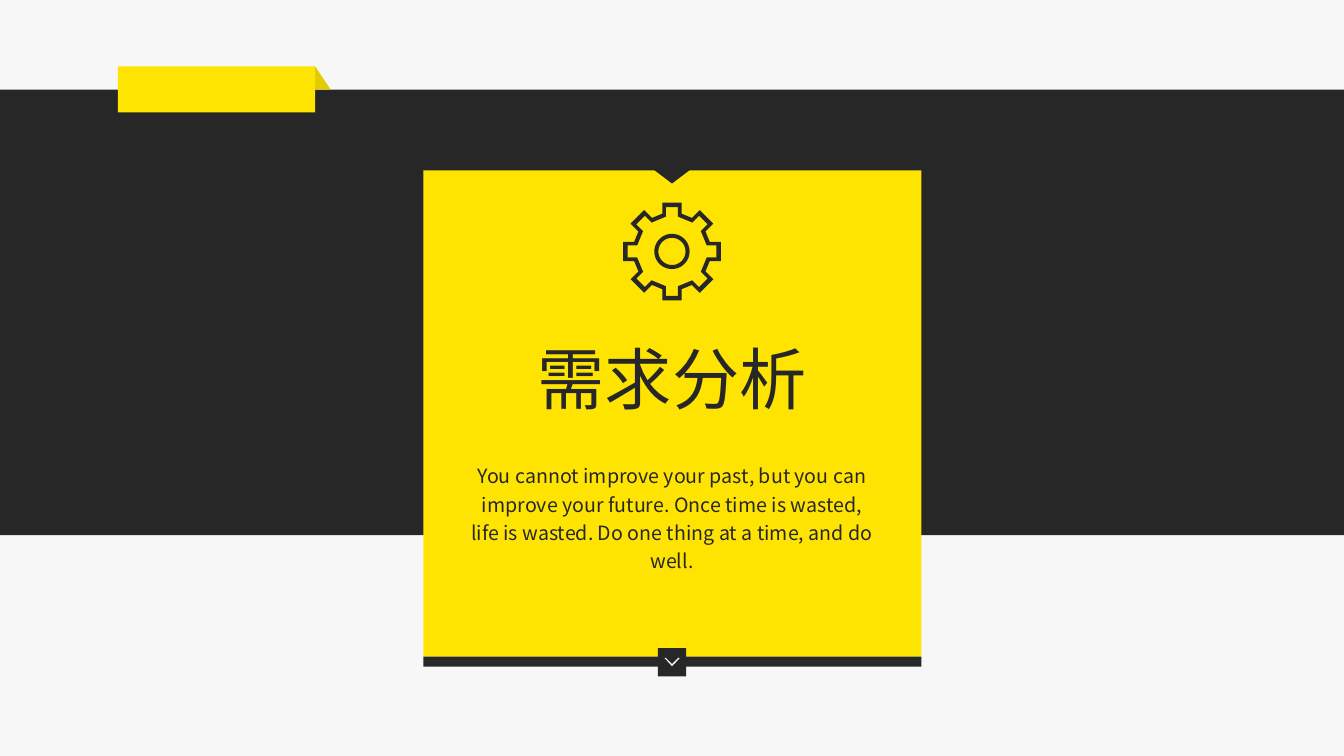
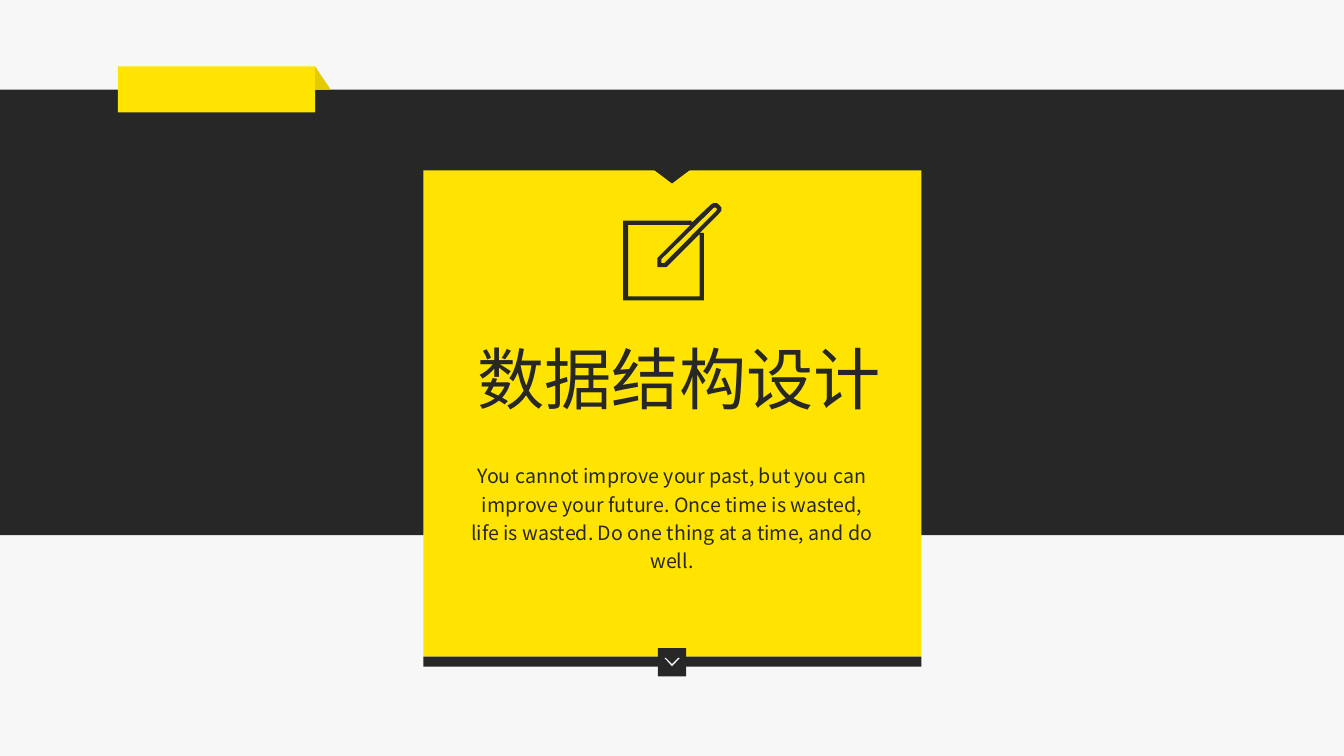
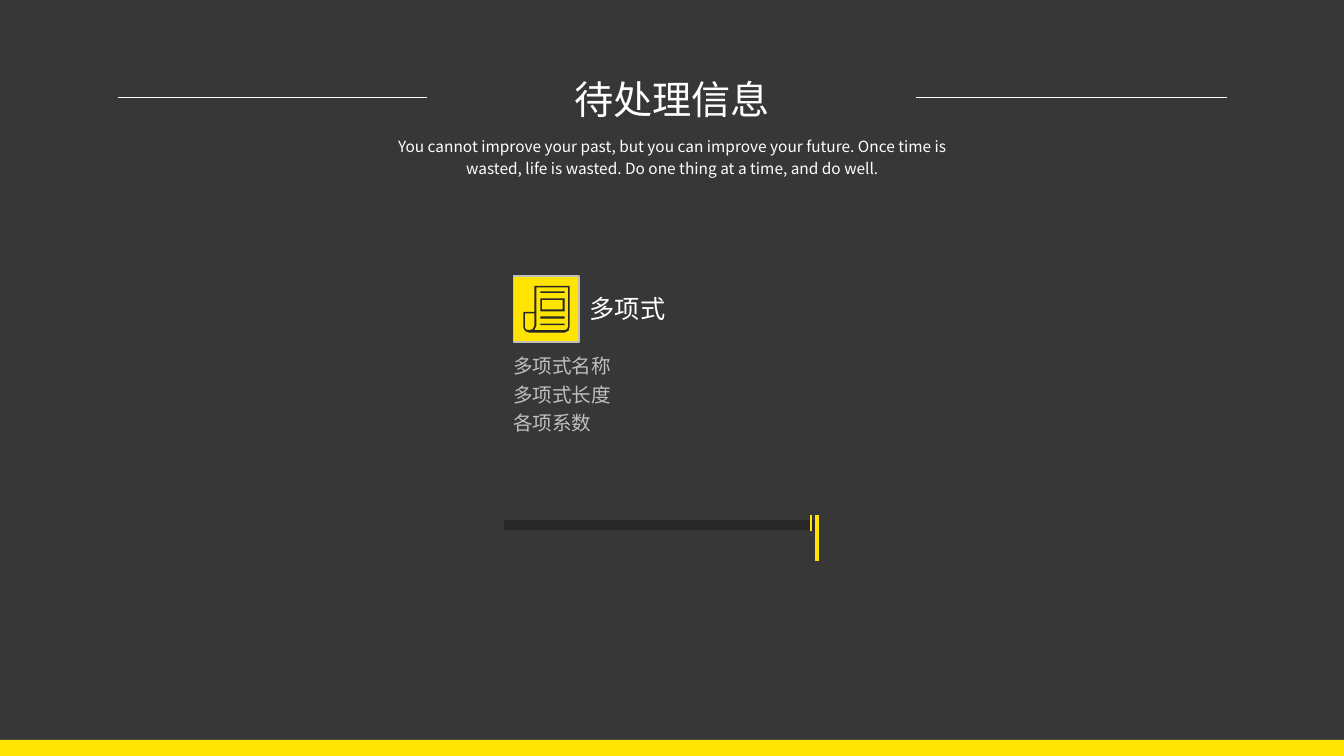
from math import cos, pi, sin

from lxml import etree
from pptx import Presentation
from pptx.dml.color import RGBColor
from pptx.enum.shapes import MSO_CONNECTOR, MSO_SHAPE
from pptx.enum.text import MSO_AUTO_SIZE, PP_ALIGN
from pptx.oxml.ns import qn
from pptx.util import Inches, Pt

RECTANGLE, TRIANGLE = MSO_SHAPE.RECTANGLE, MSO_SHAPE.ISOSCELES_TRIANGLE
STRAIGHT = MSO_CONNECTOR.STRAIGHT
LEFT, CENTER = PP_ALIGN.LEFT, PP_ALIGN.CENTER
GROW = MSO_AUTO_SIZE.SHAPE_TO_FIT_TEXT
FONT = "Noto Sans CJK SC"
COLORS = {name: RGBColor.from_string(code) for name, code in {
    "paper": "F7F7F7", "ink": "272727", "board": "373737", "yellow": "FFE401",
    "fold": "E2CC00", "white": "FFFFFF", "grey": "BFBFBF"}.items()}
MOTTO = ("You cannot improve your past, but you can improve your future. "
         "Once time is wasted, life is wasted. Do one thing at a time, and do well.")

presentation = Presentation()
presentation.slide_width = Inches(13.33)
presentation.slide_height = Inches(7.5)
blank_layout = presentation.slide_layouts[6]

# Square grid: 75 rows down the slide, 133.3 columns across
COLUMNS, ROWS = 133.3, 75
CELL = presentation.slide_height / ROWS
MIDDLE = COLUMNS / 2


def add_shape(slide, color, left, top, width, height, kind=RECTANGLE):
    shape = slide.shapes.add_shape(
        kind, *[round(length * CELL) for length in (left, top, width, height)])
    shape.shadow.inherit = False
    shape.fill.solid()
    shape.fill.fore_color.rgb = COLORS[color]
    shape.line.fill.background()
    return shape


def add_text(slide, lines, bounds, size, color, align=CENTER, spacing=1.0, wrap=True):
    box = slide.shapes.add_textbox(*[round(length * CELL) for length in bounds])
    frame = box.text_frame
    frame.word_wrap = wrap
    frame.auto_size = GROW
    frame.text = "\n".join(lines)
    for paragraph in frame.paragraphs:
        paragraph.alignment = align
        paragraph.line_spacing = spacing
        paragraph.font.size = Pt(size)
        paragraph.font.color.rgb = COLORS[color]
        paragraph.font.name = FONT
        etree.SubElement(paragraph.font._element, qn("a:ea"), typeface=FONT)


# Gear icon: eight teeth turned around a centre, then two rings
GEAR_Y = 24.95
gear = []
for half_tooth, base, tip in ((0.95, 3.75, 4.85), (0.6, 3.45, 4.4)):
    tooth = [(-half_tooth, -base), (-half_tooth, -tip), (half_tooth, -tip), (half_tooth, -base)]
    gear.append([
        (MIDDLE + x * cos(turn) - y * sin(turn), GEAR_Y + x * sin(turn) + y * cos(turn))
        for turn in [step * pi / 4 for step in range(8)] for x, y in tooth])
for radius in (1.75, 1.35):
    gear.append([(MIDDLE + radius * cos(turn), GEAR_Y + radius * sin(turn))
                 for turn in [step * pi / 18 for step in range(36)]])

# Notepad icon: sheet with pencil, sheet hole, pencil hole
notepad = [
    [(71.3, 20.3), (71.55, 20.6), (71.55, 20.9), (71.3, 21.2), (69.4, 23.1), (69.8, 23.1),
     (69.8, 29.8), (61.8, 29.8), (61.8, 21.9), (68.6, 21.9), (68.6, 22.1), (70.5, 20.3),
     (70.75, 20.15), (71.1, 20.15)],
    [(69.4, 29.4), (69.4, 23.2), (66.1, 26.5), (65.2, 26.5), (65.2, 25.6), (68.5, 22.3),
     (62.3, 22.3), (62.3, 29.4)],
    [(71, 20.95), (71.15, 20.75), (71, 20.6), (70.8, 20.6), (65.6, 25.7), (65.6, 26.1),
     (65.9, 26.1)],
]

# Newspaper icon: outline, roll, page, then text lines and picture frame
newspaper = [
    [(53, 28.35), (56.5, 28.35), (56.5, 32.4), (56.4, 32.8), (56, 33), (52.5, 33),
     (52.1, 32.85), (51.9, 32.5), (51.9, 30.95), (53, 30.95)],
    [(52.5, 32.75), (52.85, 32.65), (53, 32.3), (53, 31.1), (52.05, 31.1), (52.05, 32.5),
     (52.2, 32.7)],
    [(56.35, 32.4), (56.35, 28.5), (53.2, 28.5), (53.2, 32.3), (53, 32.75), (56, 32.75),
     (56.25, 32.65)],
]
for left, top, right, bottom in ((53.6, 28.9, 56, 29.05), (53.6, 31.4, 56, 31.6),
                                 (53.6, 32.1, 56, 32.25), (53.6, 29.6, 56, 30.9),
                                 (53.75, 29.75, 55.8, 30.7)):
    newspaper.append([(left, top), (right, top), (right, bottom), (left, bottom)])

chevron = [[(66.3, 65.7), (65.9, 65.3), (66, 65.25), (66.65, 65.9), (67.3, 65.25),
            (67.4, 65.3), (66.65, 66.1)]]
icons = []

# Section slides
CARD_LEFT, CARD_TOP, CARD_WIDTH, CARD_HEIGHT = 42, 16.9, 49.4, 48.25
for title, title_width, icon in (("需求分析", 42.5, gear), ("数据结构设计", 43.9, notepad)):
    slide = presentation.slides.add_slide(blank_layout)
    slide.background.fill.solid()
    slide.background.fill.fore_color.rgb = COLORS["paper"]

    # Band and folded ribbon
    add_shape(slide, "ink", 0, 8.9, COLUMNS, 44.2)
    add_shape(slide, "yellow", 11.7, 6.6, 19.55, 4.55)
    fold = add_shape(slide, "fold", 31.25, 6.6, 1.55, 2.3, TRIANGLE)
    fold.adjustments[0] = 0.01

    # Card with notch, foot and arrow button
    add_shape(slide, "yellow", CARD_LEFT, CARD_TOP, CARD_WIDTH, CARD_HEIGHT)
    notch = add_shape(slide, "ink", MIDDLE - 2.65, 16.2, 5.3, 2, TRIANGLE)
    notch.rotation = 180
    add_shape(slide, "ink", CARD_LEFT, CARD_TOP + CARD_HEIGHT, CARD_WIDTH, 1)
    add_shape(slide, "ink", MIDDLE - 1.4, 64.3, 2.8, 2.8)
    add_text(slide, [title], (45.4, 33, title_width, 9.1), 48, "ink")
    add_text(slide, [MOTTO], (45.4, 45.1, 42.5, 12.3), 14, "ink", spacing=1.2)
    icons += [(slide, "ink", icon), (slide, "white", chevron)]

# Information slide
slide = presentation.slides.add_slide(blank_layout)
slide.background.fill.solid()
slide.background.fill.fore_color.rgb = COLORS["board"]
add_text(slide, ["待处理信息"], (55.8, 7, 21.7, 5.7), 28, "white", wrap=False)
add_text(slide, [MOTTO], (37.1, 12.7, 59.2, 5.3), 11, "white", spacing=1.2)

# Polynomial entry
tile = add_shape(slide, "yellow", 50.95, 27.4, 6.5, 6.55)
tile.line.color.rgb = COLORS["grey"]
tile.line.width = Pt(1)
icons.append((slide, "ink", newspaper))
add_text(slide, ["多项式"], (57.5, 28.6, 9.6, 4), 18, "white", LEFT, wrap=False)
add_text(slide, ["多项式名称", "多项式长度", "各项系数"], (49.9, 34.2, 31.8, 9.3),
         14, "grey", LEFT, 1.2)

# Footer band and divider
add_shape(slide, "yellow", 0, 73.4, COLUMNS, 1.6)
add_shape(slide, "ink", 50, 51.6, 30.9, 1)

# Title rules and divider end marks
for color, weight, *ends in (("white", 0.5, 11.7, 9.65, 42.4, 9.65),
                             ("white", 0.5, 90.9, 9.65, 121.7, 9.65),
                             ("yellow", 3, 81.05, 51.1, 81.05, 55.7),
                             ("yellow", 1.5, 80.45, 51.1, 80.45, 52.7)):
    connector = slide.shapes.add_connector(STRAIGHT, *[round(end * CELL) for end in ends])
    connector.line.color.rgb = COLORS[color]
    connector.line.width = Pt(weight)
    etree.SubElement(connector._element.spPr, qn("a:effectLst"))

# Icons
for slide, color, contours in icons:
    outlines = [[(round(x * CELL), round(y * CELL)) for x, y in contour] for contour in contours]
    builder = slide.shapes.build_freeform(*outlines[0][0])
    for number, points in enumerate(outlines):
        if number:
            builder.move_to(*points[0])
        builder.add_line_segments(points[1:], close=True)
    shape = builder.convert_to_shape()
    shape.shadow.inherit = False
    shape.fill.solid()
    shape.fill.fore_color.rgb = COLORS[color]
    shape.line.fill.background()

presentation.save("out.pptx")
